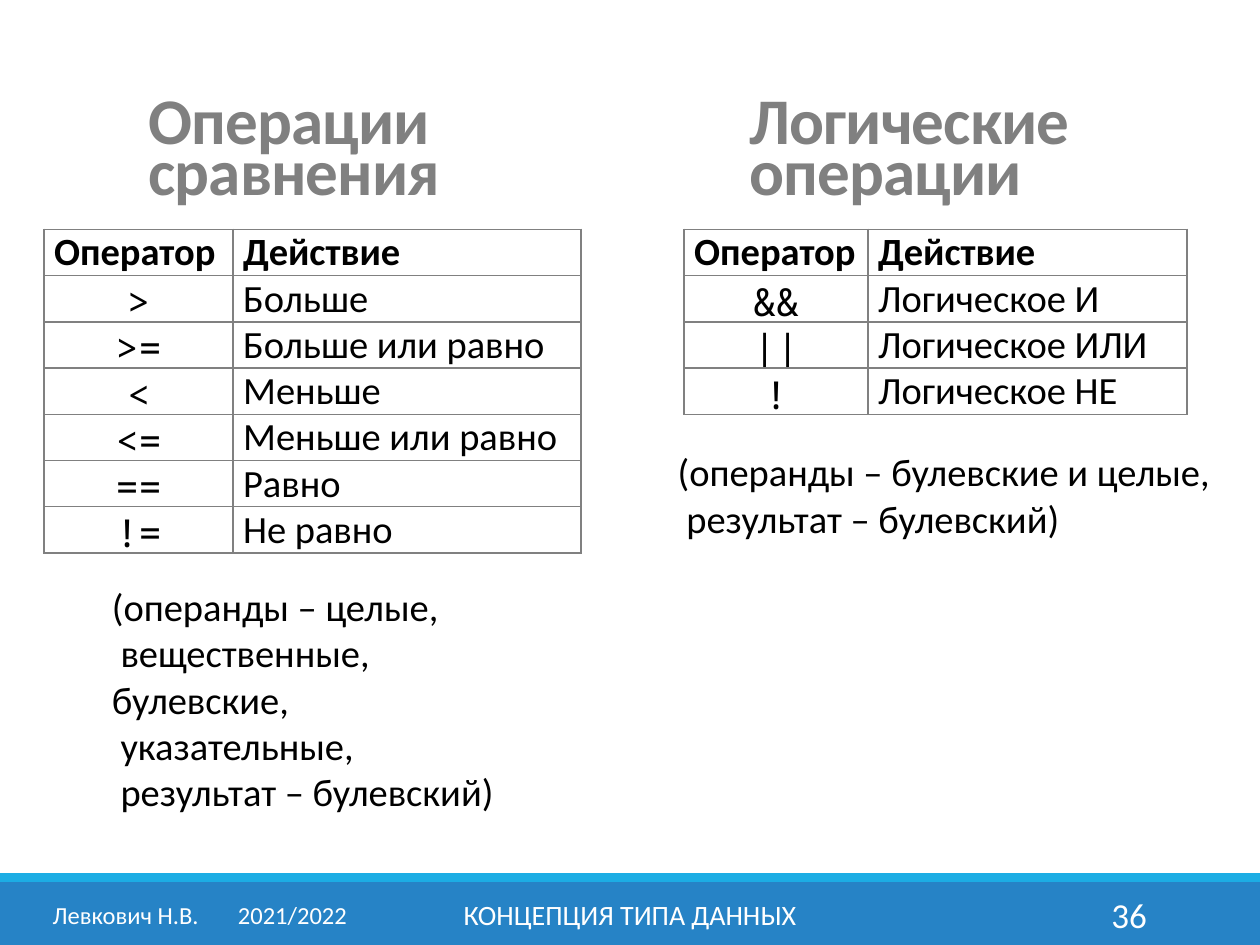
from lxml import etree
from pptx import Presentation
from pptx.dml.color import RGBColor
from pptx.enum.shapes import MSO_SHAPE
from pptx.enum.text import MSO_ANCHOR, MSO_AUTO_SIZE, PP_ALIGN
from pptx.oxml.ns import qn
from pptx.util import Inches, Pt

RECTANGLE = MSO_SHAPE.RECTANGLE
TOP, MIDDLE = MSO_ANCHOR.TOP, MSO_ANCHOR.MIDDLE
LEFT, CENTER, RIGHT = PP_ALIGN.LEFT, PP_ALIGN.CENTER, PP_ALIGN.RIGHT
GROW = MSO_AUTO_SIZE.SHAPE_TO_FIT_TEXT

COLORS = {"white": "FFFFFF", "black": "000000", "grey": "808080",
          "band": "2683C6", "stripe": "1CADE4"}
BODY_FONT, CODE_FONT = "Calibri", "Noto Sans Mono"

COMPARISONS = [(">", "Больше"), (">=", "Больше или равно"), ("<", "Меньше"),
               ("<=", "Меньше или равно"), ("==", "Равно"), ("!=", "Не равно")]
LOGICAL = [("&&", "Логическое И"), ("||", "Логическое ИЛИ"), ("!", "Логическое НЕ")]


def rgb(name):
    return RGBColor.from_string(COLORS[name])


def write(frame, text, size=22, font=BODY_FONT, color="black", bold=False,
          align=LEFT, line_spacing=None, tracking=None, tab=None):
    """Fill a text frame; a newline starts a paragraph, a vertical tab a line."""
    frame.text = text
    for paragraph in frame.paragraphs:
        paragraph.alignment = align
        if line_spacing:
            paragraph.line_spacing = line_spacing
        if tab:
            tabs = etree.SubElement(paragraph._p.get_or_add_pPr(), qn("a:tabLst"))
            etree.SubElement(tabs, qn("a:tab"), pos=str(Inches(tab)), algn="l")
        for run in paragraph.runs:
            run.font.size = Pt(size)
            run.font.name = font
            run.font.bold = bold
            run.font.color.rgb = rgb(color)
            if tracking:
                run._r.get_or_add_rPr().set("spc", str(int(tracking * 100)))


def add_text(slide, box, text, anchor=TOP, grow=False, **style):
    frame = slide.shapes.add_textbox(*map(Inches, box)).text_frame
    frame.word_wrap = True
    frame.vertical_anchor = anchor
    if grow:
        frame.auto_size = GROW
    write(frame, text, **style)


def add_bar(slide, box, color):
    bar = slide.shapes.add_shape(RECTANGLE, *map(Inches, box))
    bar.shadow.inherit = False
    bar.fill.solid()
    bar.fill.fore_color.rgb = rgb(color)
    bar.line.fill.background()


def outline_cell(cell):
    properties = cell._tc.get_or_add_tcPr()
    for position, side in enumerate(("a:lnL", "a:lnR", "a:lnT", "a:lnB")):
        line = etree.Element(qn(side), w=str(Pt(1)))
        fill = etree.SubElement(line, qn("a:solidFill"))
        etree.SubElement(fill, qn("a:srgbClr"), val=COLORS["grey"])
        properties.insert(position, line)


def add_operator_table(slide, left, top, widths, header_height, row_height, operators):
    rows = [("Оператор", "Действие")] + operators
    height = header_height + row_height * len(operators)
    table = slide.shapes.add_table(len(rows), 2, Inches(left), Inches(top),
                                   Inches(sum(widths)), Inches(height)).table
    table.first_row = table.horz_banding = False
    for column, width in zip(table.columns, widths):
        column.width = Inches(width)
    for r, row in enumerate(rows):
        table.rows[r].height = Inches(row_height if r else header_height)
        for c, text in enumerate(row):
            cell = table.cell(r, c)
            is_operator = r > 0 and c == 0
            cell.margin_left = cell.margin_right = Inches(0.08)
            cell.margin_top = cell.margin_bottom = 0
            cell.vertical_anchor = MIDDLE if is_operator else TOP
            cell.fill.solid()
            cell.fill.fore_color.rgb = rgb("white")
            outline_cell(cell)
            write(cell.text_frame, text, bold=r == 0,
                  font=CODE_FONT if is_operator else BODY_FONT,
                  align=CENTER if is_operator else LEFT)


def add_operations(slide, title, title_left, table, note, note_box):
    """Place one column: heading, operator table and note on the operands."""
    add_text(slide, (title_left, 0.76, 3.7, 0.94), title, anchor=MIDDLE, size=37.2,
             color="grey", bold=True, line_spacing=0.65, tracking=-0.5)
    add_operator_table(slide, top=1.82, **table)
    add_text(slide, note_box, note, grow=True)


def add_footer(slide, top, width):
    add_bar(slide, (0, top, width, 0.5), "band")
    add_bar(slide, (0, top - 0.07, width, 0.07), "stripe")
    for left, box_width, text, style in (
            (0.32, 2.61, "Левкович Н.В.\t2021/2022", {"size": 14, "tab": 1.47}),
            (3.02, 3.96, "КОНЦЕПЦИЯ ТИПА ДАННЫХ", {"size": 16, "align": CENTER}),
            (8.12, 1.08, "36", {"size": 20, "align": RIGHT})):
        add_text(slide, (left, top + 0.06, box_width, 0.4), text,
                 anchor=MIDDLE, color="white", **style)


def main():
    deck = Presentation()
    deck.slide_width, deck.slide_height = Inches(10), Inches(7.5)
    slide = deck.slides.add_slide(deck.slide_layouts[6])
    add_footer(slide, top=7, width=10)
    add_operations(
        slide, "Операции сравнения", 1.08,
        {"left": 0.35, "widths": (1.5, 2.76), "header_height": 0.34,
         "row_height": 0.33, "operators": COMPARISONS},
        "(операнды – целые,\v вещественные, булевские,\v указательные,\n"
        " результат – булевский)", (0.79, 4.58, 3.46, 1.95))
    add_operations(
        slide, "Логические операции", 5.85,
        {"left": 5.43, "widths": (1.46, 2.53), "header_height": 0.36,
         "row_height": 0.35, "operators": LOGICAL},
        "(операнды – булевские и целые,\v результат – булевский)",
        (5.28, 3.51, 4.49, 0.84))
    deck.save("out.pptx")


if __name__ == "__main__":
    main()
